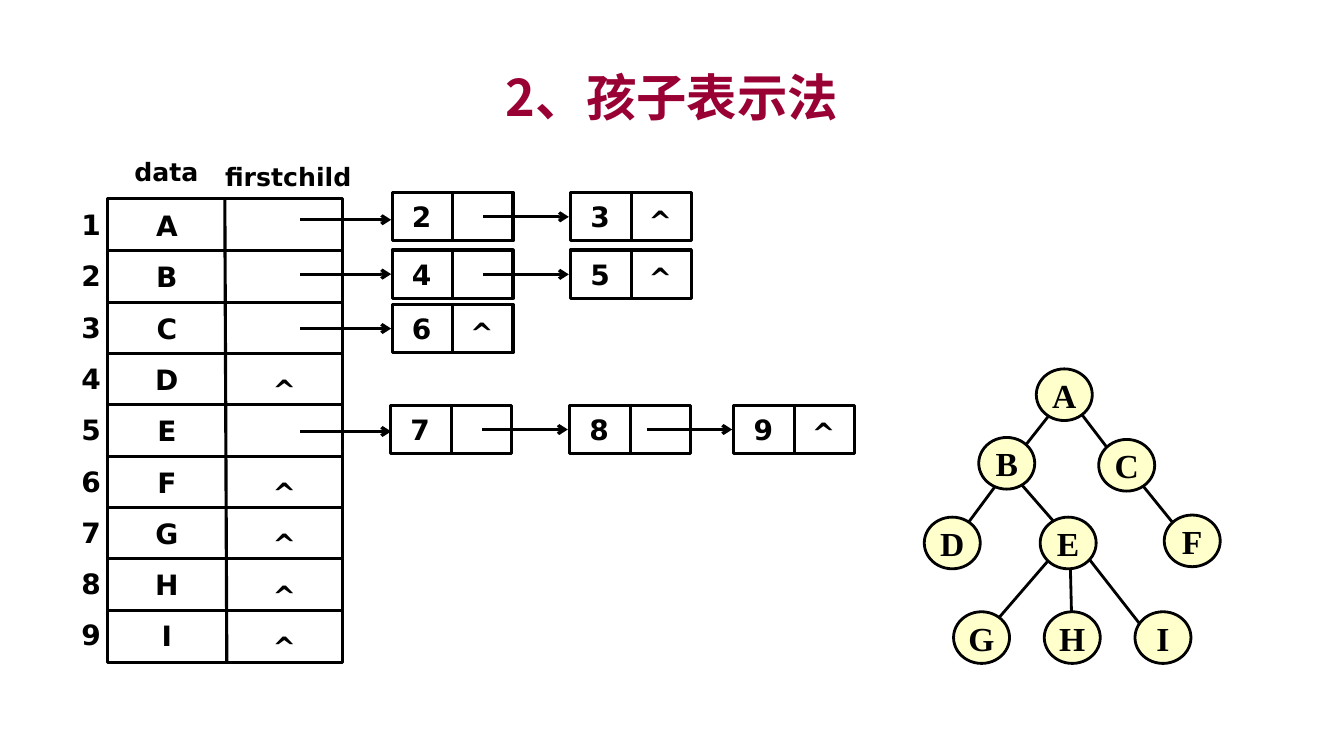
"""Build the slide on the child representation of a tree: linked lists and the tree."""
from lxml.etree import SubElement
from pptx import Presentation
from pptx.dml.color import RGBColor
from pptx.enum.shapes import MSO_CONNECTOR, MSO_SHAPE
from pptx.enum.text import MSO_ANCHOR, PP_ALIGN
from pptx.oxml.ns import qn
from pptx.util import Pt

color = RGBColor.from_string
SANS, SERIF, CJK = "DejaVu Sans", "Times New Roman", "Noto Sans CJK SC"

deck = Presentation()
deck.slide_width, deck.slide_height = Pt(960), Pt(540)
page = deck.slides.add_slide(deck.slide_layouts[6])


def write(text, left, top, width, height, shape=None, fill=None, line_width=2.25,
          size=20, font=SANS, ink="000000", align=PP_ALIGN.CENTER,
          spacing=None, margin=0, wrap=False):
    frame = Pt(left), Pt(top), Pt(width), Pt(height)
    if shape is None:
        box = page.shapes.add_textbox(*frame)
    else:
        box = page.shapes.add_shape(shape, *frame)
        box.shadow.inherit = False
        box.line.color.rgb = color("000000")
        box.line.width = Pt(line_width)
        if fill:
            box.fill.solid()
            box.fill.fore_color.rgb = color(fill)
        else:
            box.fill.background()
    body = box.text_frame
    body.word_wrap = wrap
    body.vertical_anchor = MSO_ANCHOR.MIDDLE
    body.margin_left = Pt(margin)
    body.margin_right = body.margin_top = body.margin_bottom = 0
    if not text:
        return
    para = body.paragraphs[0]
    para.alignment = align
    para.line_spacing = spacing
    span = para.add_run()
    span.text = text
    span.font.size = Pt(size)
    span.font.bold = True
    span.font.color.rgb = color(ink)
    span.font.name = font
    SubElement(span.font._element, qn("a:ea"), typeface=font)


def connect(x1, y1, x2, y2, width=2.25, arrow=False):
    line = page.shapes.add_connector(MSO_CONNECTOR.STRAIGHT, Pt(x1), Pt(y1), Pt(x2), Pt(y2))
    line.line.color.rgb = color("000000")
    line.line.width = Pt(width)
    if arrow:
        SubElement(line.line._get_or_add_ln(), qn("a:tailEnd"), type="arrow")
    SubElement(line._element.spPr, qn("a:effectLst"))


write("2、孩子表示法", 72, 41.8, 816, 54, size=36, font=CJK, ink="990033", wrap=True)

tree_edges = [
    (748.8, 297.4, 733, 317.5), (710.6, 347.8, 691.9, 373),
    (772.6, 295.9, 791.3, 320.4), (728.6, 344.9, 752.4, 372.2),
    (815.8, 346.3, 837.4, 373), (764.6, 406.1, 765.4, 438.5),
    (749.5, 399.6, 712.8, 442.1), (777.6, 398.9, 813.6, 445),
]
for edge in tree_edges:
    connect(*edge, width=2)

tree_nodes = {
    "A": (740.2, 263.5), "B": (699.1, 312.5), "C": (784.8, 313.9),
    "D": (660.2, 369.4), "E": (743, 369.4), "F": (831.6, 367.9),
    "G": (681.1, 437), "H": (745.9, 437), "I": (810.7, 437),
}
for name, (left, top) in tree_nodes.items():
    write(name, left, top, 40, 36.9, shape=MSO_SHAPE.OVAL, fill="FFFFCC",
          line_width=2, size=24, font=SERIF)

ROW = 36.65
write("data", 86.4, 106.6, 64.8, 31.7, size=18)
write("firstchild", 149, 110.2, 113.8, 31.7, size=18)
write("", 77, 141.8, 167.8, 331.2, shape=MSO_SHAPE.RECTANGLE)
connect(160.6, 141.8, 162, 472.3)
for row, name in enumerate("ABCDEFGHI"):
    write(str(row + 1), 49.7, 143.3 + row * ROW, 31, 33.8)
    write(name, 103, 144 + row * ROW, 32.4, 33.8)
    if row:
        connect(76.3, 142.6 + row * ROW, 244.8, 142.6 + row * ROW)
    if name in "DFGHI":
        write("^", 185.8, 147.6 + row * 36.72, 34.6, 28.8, spacing=1.5)

child_lists = [
    (137.5, 157, {"2": 280.1, "3": 407.5}),
    (178.6, 195.8, {"4": 280.1, "5": 407.5}),
    (217.4, 234.7, {"6": 280.1}),
    (289.4, 308.2, {"7": 279, "8": 406.8, "9": 524.2}),
]
for top, head_y, children in child_lists:
    connect(214.6, head_y, 279.4, head_y, arrow=True)
    for position, (child, left) in enumerate(children.items()):
        write(child, left, top, 86.4, 34.6, shape=MSO_SHAPE.RECTANGLE,
              align=PP_ALIGN.LEFT, margin=14.2, wrap=True)
        connect(left + 43.4, top + 0.7, left + 43.4, top + 33.9)
        if position:
            connect(left - 62.4, top + 17.4, left - 1.2, top + 17.4, arrow=True)
    write("^", left + 46.8, top + 7.6, 34.6, 24)

deck.save("out.pptx")
